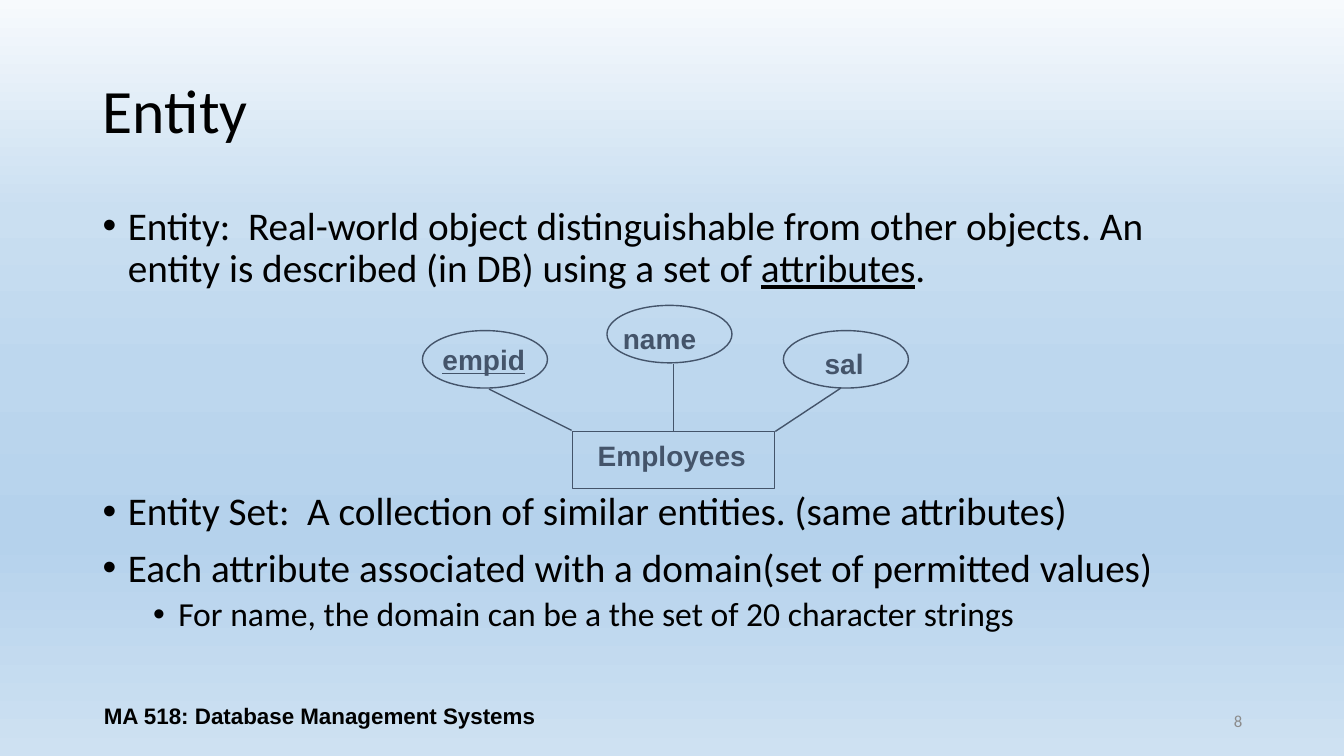
from dataclasses import dataclass

from lxml import etree
from pptx import Presentation
from pptx.dml.color import RGBColor
from pptx.enum import shapes, text
from pptx.oxml import ns
from pptx.util import Inches, Pt


@dataclass(frozen=True)
class Theme:
    ink: str = "000000"
    diagram: str = "44546A"
    muted: str = "8C8C8C"
    backdrop: tuple = ((0, "F7FAFD"), (28, "CADFF1"), (49, "BDD7EE"),
                       (71, "B5D2EC"), (100, "CEE1F2"))
    body_font: str = "Calibri"
    label_font: str = "Arial"
    title_size: int = 44
    body_size: int = 28
    sub_size: int = 24
    label_size: int = 20
    footer_size: int = 16
    number_size: int = 12


class SlideBuilder:
    def __init__(self, slide, theme):
        self.slide = slide
        self.theme = theme

    def style(self, run, size, color, font, bold=False, underline=False):
        run.font.size = Pt(size)
        run.font.name = font
        run.font.bold = bold
        run.font.underline = underline
        run.font.color.rgb = RGBColor.from_string(color)

    def background(self):
        fill = self.slide.background.fill
        fill.gradient()
        fill.gradient_angle = 270
        stops = self.slide.element.find(".//" + ns.qn("a:gsLst"))
        for stop in list(stops):
            stops.remove(stop)
        for percent, color in self.theme.backdrop:
            stop = etree.SubElement(stops, ns.qn("a:gs"), pos=str(percent * 1000))
            etree.SubElement(stop, ns.qn("a:srgbClr"), val=color)

    def title(self, wording, left, top, width, height):
        sp = self.slide.shapes.title
        sp.left, sp.top = Inches(left), Inches(top)
        sp.width, sp.height = Inches(width), Inches(height)
        tf = sp.text_frame
        tf.text = wording
        tf.auto_size = text.MSO_AUTO_SIZE.NONE
        tf.vertical_anchor = text.MSO_ANCHOR.MIDDLE
        p = tf.paragraphs[0]
        p.alignment = text.PP_ALIGN.LEFT
        p.line_spacing = 0.9
        self.style(p.runs[0], self.theme.title_size, self.theme.ink,
                   self.theme.body_font)

    def text_box(self, left, top, width, height):
        sp = self.slide.shapes.add_textbox(
            Inches(left), Inches(top), Inches(width), Inches(height))
        sp.text_frame.word_wrap = True
        return sp.text_frame

    def bullets(self, items, left, top, width, height):
        """Each item is (level, space before in points, parts); odd parts are underlined."""
        tf = self.text_box(left, top, width, height)
        for i, (level, space, parts) in enumerate(items):
            p = tf.add_paragraph() if i else tf.paragraphs[0]
            p.level = level
            p.line_spacing = 0.9
            p.space_before = Pt(space)
            p_pr = p._p.get_or_add_pPr()
            p_pr.set("marL", str(Inches(0.25 + 0.5 * level)))
            p_pr.set("indent", str(Inches(-0.25)))
            etree.SubElement(p_pr, ns.qn("a:buFont"), typeface="Arial")
            etree.SubElement(p_pr, ns.qn("a:buChar"), char="•")
            size = self.theme.sub_size if level else self.theme.body_size
            for j, part in enumerate(parts):
                r = p.add_run()
                r.text = part
                self.style(r, size, self.theme.ink, self.theme.body_font,
                           underline=j % 2 == 1)

    def footer(self, wording, left, top, width, height, align, size, color,
               font, bold=False):
        tf = self.text_box(left, top, width, height)
        tf.vertical_anchor = text.MSO_ANCHOR.MIDDLE
        if align == text.PP_ALIGN.CENTER:
            tf.margin_left = tf.margin_right = 0
        tf.text = wording
        p = tf.paragraphs[0]
        p.alignment = align
        self.style(p.runs[0], size, color, font, bold)

    def outline(self, kind, left, top, width):
        sp = self.slide.shapes.add_shape(
            kind, Inches(left), Inches(top), Inches(width), Inches(0.57))
        sp.shadow.inherit = False
        sp.fill.background()
        sp.line.color.rgb = RGBColor.from_string(self.theme.diagram)
        sp.line.width = Pt(1)
        return sp

    def label(self, wording, left, top, width, underline=False):
        tf = self.text_box(left, top, width, 0.43)
        tf.word_wrap = False
        tf.text = wording
        self.style(tf.paragraphs[0].runs[0], self.theme.label_size,
                   self.theme.diagram, self.theme.label_font, True, underline)

    def line(self, start, end):
        ends = [Inches(v) for v in (*start, *end)]
        cxn = self.slide.shapes.add_connector(shapes.MSO_CONNECTOR.STRAIGHT, *ends)
        cxn.line.color.rgb = RGBColor.from_string(self.theme.diagram)
        cxn.line.width = Pt(1)
        etree.SubElement(cxn._element.spPr, ns.qn("a:effectLst"))
        return cxn


def main():
    prs = Presentation()
    prs.slide_width, prs.slide_height = Inches(13.33), Inches(7.5)
    theme = Theme()
    s = SlideBuilder(prs.slides.add_slide(prs.slide_layouts[5]), theme)

    s.background()
    s.title("Entity", 0.92, 0.4, 11.5, 1.45)
    # The large space before the second bullet leaves room for the diagram.
    s.bullets([
        (0, 10, ["Entity:  Real-world object distinguishable from other objects. "
                 "An entity is described (in DB) using a set of ",
                 "attributes", "."]),
        (0, 143.5, ["Entity Set:  A collection of similar entities. (same attributes)"]),
        (0, 10, ["Each attribute associated with a domain(set of permitted values)"]),
        (1, 5, ["For name, the domain can be a the set of 20 character strings"]),
    ], 0.92, 2, 11.5, 4.76)
    s.footer("8", 9.42, 6.95, 3, 0.4, text.PP_ALIGN.RIGHT,
             theme.number_size, theme.muted, theme.body_font)
    s.footer("MA 518: Database Management Systems", 0.92, 6.9, 4.5, 0.4,
             text.PP_ALIGN.CENTER, theme.footer_size, theme.ink,
             theme.label_font, bold=True)

    employees = s.outline(shapes.MSO_SHAPE.RECTANGLE, 5.68, 4.28, 2)
    s.label("Employees", 5.83, 4.3, 1.68)

    # Oval left and top, then label left, top and width, then key flag
    attributes = [
        ("empid", 4.19, 3.28, 4.29, 3.35, 1.03, True),
        ("name", 6.02, 3.03, 6.08, 3.14, 0.93, False),
        ("sal", 7.77, 3.28, 8.08, 3.39, 0.59, False),
    ]
    for name, left, top, label_left, label_top, label_width, is_key in attributes:
        s.outline(shapes.MSO_SHAPE.OVAL, left, top, 1.24)
        s.label(name, label_left, label_top, label_width, underline=is_key)

    s.line((4.85, 3.86), (5.67, 4.27))
    s.line((6.68, 3.61), (6.68, 4.28)).end_connect(employees, 0)
    s.line((7.69, 4.28), (8.34, 3.85))

    prs.save("out.pptx")


if __name__ == "__main__":
    main()
